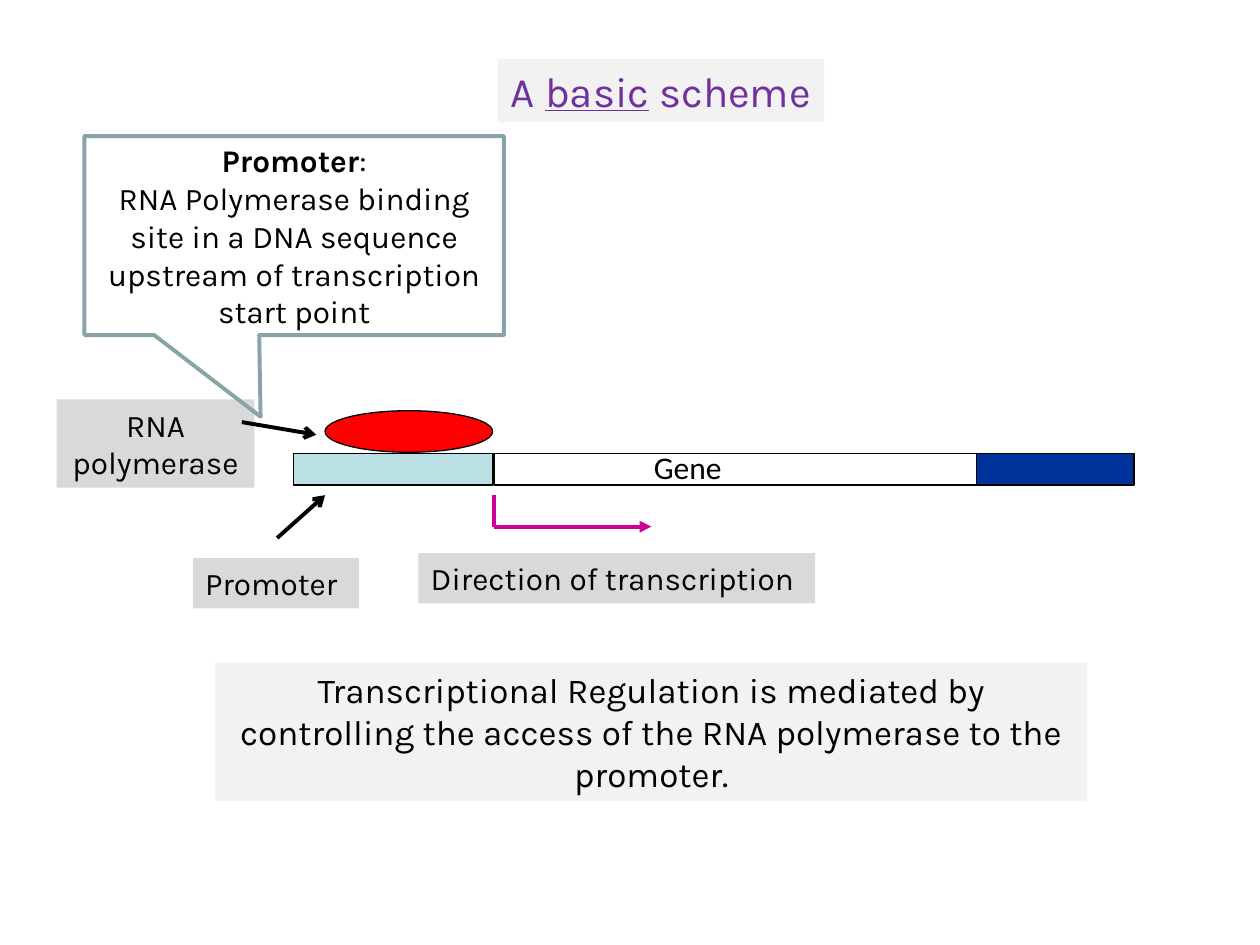
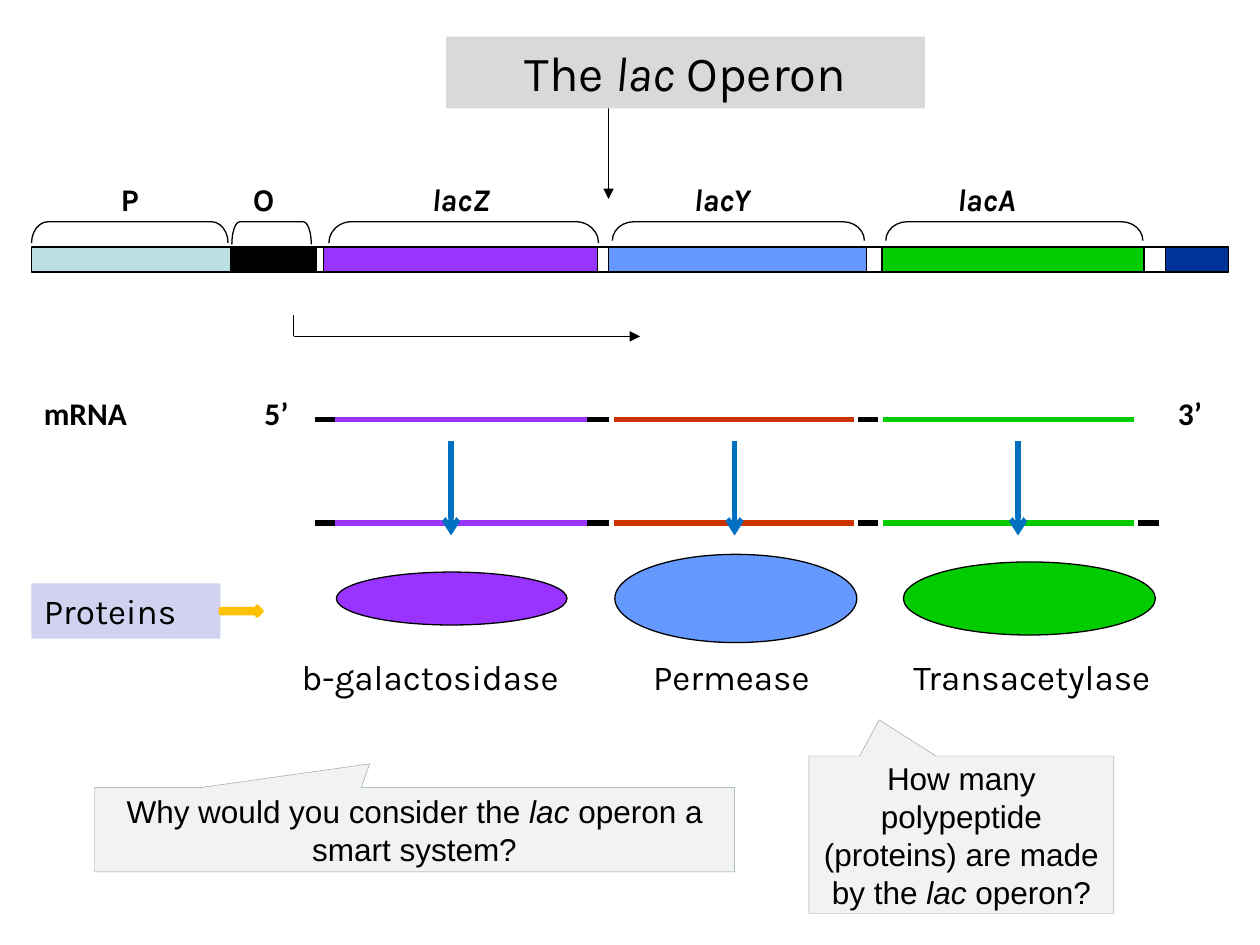
from dataclasses import dataclass

from lxml import etree
from pptx import Presentation
from pptx.dml.color import RGBColor
from pptx.enum.shapes import MSO_CONNECTOR, MSO_SHAPE
from pptx.enum.text import MSO_ANCHOR, PP_ALIGN
from pptx.oxml.ns import qn
from pptx.util import Inches, Pt

RECT = MSO_SHAPE.RECTANGLE
OVAL = MSO_SHAPE.OVAL
CALLOUT = MSO_SHAPE.RECTANGULAR_CALLOUT
BRACKET = MSO_SHAPE.LEFT_BRACKET
ARROW = MSO_SHAPE.RIGHT_ARROW
LINE = MSO_CONNECTOR.STRAIGHT
LEFT, CENTER = PP_ALIGN.LEFT, PP_ALIGN.CENTER
TOP, MIDDLE = MSO_ANCHOR.TOP, MSO_ANCHOR.MIDDLE


@dataclass(frozen=True)
class Theme:
    black: str = "000000"
    pale: str = "F2F2F2"
    gray: str = "D9D9D9"
    teal: str = "BBE0E3"
    navy: str = "003399"
    edge: str = "89A4A7"
    red: str = "FF0000"
    pink: str = "CC0099"
    plum: str = "7030A0"
    violet: str = "9933FF"
    sky: str = "6699FF"
    green: str = "00CC00"
    rust: str = "CC3300"
    blue: str = "0070C0"
    gold: str = "FFC000"
    lilac: str = "D1D1F0"
    main: str = "Karla"
    plain: str = "Calibri"
    ask: str = "Arial"
    title: int = 28
    head: int = 24
    body: int = 20
    note: int = 18
    thin: float = 0.75
    bold: float = 2.25
    thick: float = 3


T = Theme()

SCHEME = [("A ", ""), ("basic", "u"), (" scheme", "")]
RULE = ("Transcriptional Regulation is mediated by controlling "
        "the access of the RNA polymerase to the promoter.")
SITE = [
    [("Promoter", "b"), (":", "")],
    "RNA Polymerase binding site in a DNA sequence "
    "upstream of transcription start point",
]
TAGS = [
    ((0.45, 3.17, 1.57, 0.7), ["RNA", "polymerase"], CENTER),
    ((1.53, 4.43, 1.32, 0.4), ["Promoter"], LEFT),
    ((3.32, 4.39, 3.15, 0.4), ["Direction of transcription"], LEFT),
]
DNA = [(2.33, 1.58, T.teal), (3.92, 3.83, None), (7.75, 1.25, T.navy)]
HINTS = [((1.92, 3.35), (2.51, 3.45)), ((2.2, 4.27), (2.58, 3.93))]

OPERON = [("The ", ""), ("lac", "i"), (" Operon", "")]
STRAND = [
    (0.25, 2.26, T.teal), (2.51, 6.74, None), (9.25, 0.5, T.navy),
    (1.83, 0.67, T.black), (2.57, 2.17, T.violet),
    (4.83, 2.05, T.sky), (7, 2.08, T.green),
]
PARTS = [
    ("P", "b", 0.86, 0.25, 1.56, 0.17, 0.78),
    ("O", "b", 1.91, 1.84, 0.63, 0.18, 0.35),
    ("lacZ", "bi", 3.33, 2.61, 2.14, 0.17, 1.06),
    ("lacY", "bi", 5.41, 4.86, 2, 0.15, 1.13),
    ("lacA", "bi", 7.5, 7.03, 2.04, 0.15, 1.13),
]
RNA = [
    (2.5, 2.66, T.black), (2.66, 4.66, T.violet), (4.66, 4.83, T.black),
    (4.87, 6.78, T.rust), (6.81, 6.97, T.black), (7.01, 9, T.green),
]
STOP = (9.03, 9.2, T.black)
MARKS = [("mRNA", 0.25, 1.33), ("5’", 2, 0.5), ("3’", 9.25, 0.5)]
FOLDS = [
    ("b-galactosidase", 2.08, 2.67, (2.67, 4.54, 1.83, 0.42), T.violet, 3.58),
    ("Permease", 4.7, 2.21, (4.88, 4.4, 1.92, 0.7), T.sky, 5.83),
    ("Transacetylase", 6.8, 2.78, (7.17, 4.46, 2, 0.58), T.green, 8.08),
]
ASKS = [
    ((6.42, 6, 2.42, 1.25), (-0.27, -0.73),
     [("How many polypeptide (proteins) are made by the ", ""),
      ("lac ", "i"), ("operon?", "")]),
    ((0.75, 6.25, 5.08, 0.67), (-0.07, -0.78),
     [("Why would you consider the ", ""),
      ("lac ", "i"), ("operon a smart system?", "")]),
]


def tint(code):
    return RGBColor.from_string(code)


def write(shape, paras, size=T.note, font=T.main, color=T.black,
          align=LEFT, anchor=TOP, wrap=True, side=0.1):
    frame = shape.text_frame
    frame.word_wrap = wrap
    frame.vertical_anchor = anchor
    frame.margin_left = frame.margin_right = Inches(side)
    frame.margin_top = frame.margin_bottom = Inches(0.05)
    for n, para in enumerate(paras):
        p = frame.add_paragraph() if n else frame.paragraphs[0]
        p.alignment = align
        for text, style in [(para, "")] if isinstance(para, str) else para:
            run = p.add_run()
            run.text = text
            face = run.font
            face.name, face.size = font, Pt(size)
            face.color.rgb = tint(color)
            face.bold, face.italic = "b" in style, "i" in style
            face.underline = "u" in style


def draw(slide, kind, at, fill=None, edge=None, width=T.thin, adj=()):
    shape = slide.shapes.add_shape(kind, *map(Inches, at))
    shape.shadow.inherit = False
    if fill:
        shape.fill.solid()
        shape.fill.fore_color.rgb = tint(fill)
    else:
        shape.fill.background()
    if edge:
        shape.line.color.rgb = tint(edge)
        shape.line.width = Pt(width)
    else:
        shape.line.fill.background()
    for n, value in enumerate(adj):
        shape.adjustments[n] = value
    return shape


def label(slide, at, paras, **look):
    write(slide.shapes.add_textbox(*map(Inches, at)), paras, **look)


def link(slide, start, end, color=T.black, width=T.thin, tip=None):
    wire = slide.shapes.add_connector(LINE, *map(Inches, start + end))
    wire.line.color.rgb = tint(color)
    wire.line.width = Pt(width)
    props = wire.line._get_or_add_ln().getparent()
    if tip:
        etree.SubElement(props.find(qn("a:ln")), qn("a:tailEnd"), type=tip)
    etree.SubElement(props, qn("a:effectLst"))


def bend(slide, x, top, low, end, color=T.black, width=T.thin):
    link(slide, (x, top), (x, low), color, width)
    link(slide, (x, low), (end, low), color, width, "triangle")


def strip(slide, bands, top, high):
    for x, wide, fill in bands:
        draw(slide, RECT, (x, top, wide, high), fill, T.black)


def brace(slide, x, top, wide, deep, curve):
    at = (x + (wide - deep) / 2, top + (deep - wide) / 2, deep, wide)
    draw(slide, BRACKET, at, edge=T.black, adj=[curve]).rotation = 90


def basic(slide):
    strip(slide, DNA, 3.6, 0.25)
    bend(slide, 3.92, 3.93, 4.18, 5.17, T.pink, T.bold)
    draw(slide, OVAL, (2.58, 3.26, 1.33, 0.33), T.red, T.black)
    write(draw(slide, RECT, (1.71, 5.26, 6.92, 1.1), T.pale), [RULE],
          size=T.body, align=CENTER)
    for at, paras, align in TAGS:
        write(draw(slide, RECT, at, T.gray), paras, align=align)
    label(slide, (5.09, 3.51, 0.79, 0.4), ["Gene"], font=T.plain)
    write(draw(slide, RECT, (3.95, 0.47, 2.59, 0.5), T.pale), [SCHEME],
          size=T.head, color=T.plum, align=CENTER, wrap=False)
    site = draw(slide, CALLOUT, (0.67, 1.08, 3.33, 1.58), edge=T.edge,
                width=T.bold, adj=(-0.08, 0.91))
    write(site, SITE, align=CENTER, anchor=MIDDLE, side=0.15)
    for start, end in HINTS:
        link(slide, start, end, width=T.bold, tip="arrow")


def operon(slide):
    strip(slide, STRAND, 1.96, 0.2)
    for name, style, left, x, wide, deep, curve in PARTS:
        brace(slide, x, 1.76, wide, deep, curve)
        label(slide, (left, 1.38, 1, 0.4), [[(name, style)]])
    bend(slide, 2.33, 2.5, 2.67, 5.08)
    link(slide, (4.83, 0.83), (4.83, 1.58), tip="triangle")
    for y, bits in ((3.33, RNA), (4.15, RNA + [STOP])):
        for x, end, color in bits:
            link(slide, (x, y), (end, y), color, T.thick)
    for text, x, wide in MARKS:
        label(slide, (x, 3.08, wide, 0.4), [[(text, "b")]], font=T.plain)
    write(draw(slide, RECT, (0.25, 4.63, 1.5, 0.44), T.lilac), ["Proteins"],
          size=T.body)
    draw(slide, ARROW, (1.75, 4.81, 0.33, 0.08), T.gold, T.gold, 2)
    for name, x, wide, oval, fill, mid in FOLDS:
        draw(slide, OVAL, oval, fill, T.black)
        label(slide, (x, 5.15, wide, 0.44), [name], size=T.body, align=CENTER)
        link(slide, (mid, 3.5), (mid, 4.25), T.blue, T.thick, "arrow")
    write(draw(slide, RECT, (3.54, 0.29, 3.8, 0.57), T.gray), [OPERON],
          size=T.title, align=CENTER)
    for at, adj, text in ASKS:
        ask = draw(slide, CALLOUT, at, T.pale, T.edge, 0.25, adj)
        write(ask, [text], font=T.ask, align=CENTER, anchor=MIDDLE)


def main():
    deck = Presentation()
    deck.slide_width, deck.slide_height = Inches(10), Inches(7.5)
    for build in (basic, operon):
        build(deck.slides.add_slide(deck.slide_layouts[6]))
    deck.save("out.pptx")


if __name__ == "__main__":
    main()
